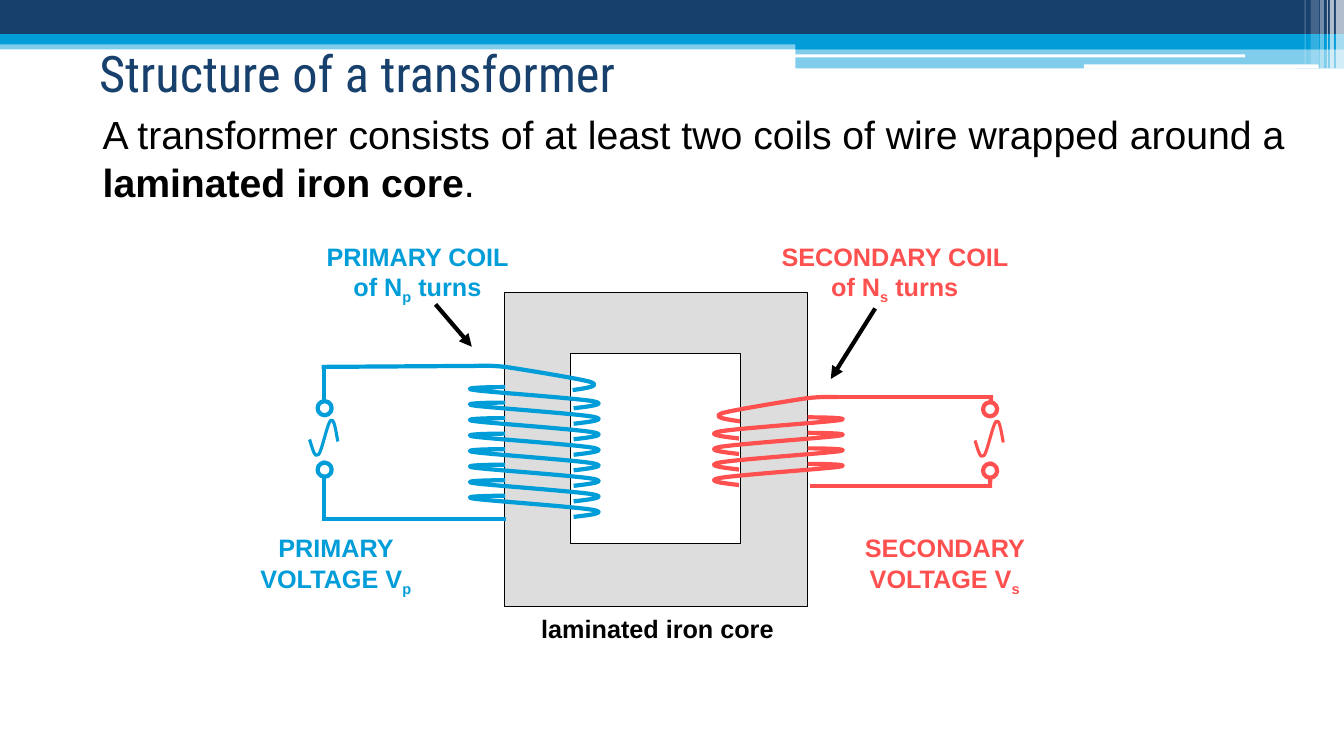
import pptx
import pptx.util
import pptx.dml.color
import pptx.enum.shapes
import pptx.enum.text
import pptx.oxml
import pptx.oxml.ns

COLORS = {"navy": "17406D", "blue": "009DD9", "red": "FF5050", "gray": "DDDDDD",
          "white": "FFFFFF", "black": "000000"}
COLORS = {name: pptx.dml.color.RGBColor.from_string(value) for name, value in COLORS.items()}
RECTANGLE = pptx.enum.shapes.MSO_SHAPE.RECTANGLE
ROUNDED = pptx.enum.shapes.MSO_SHAPE.ROUNDED_RECTANGLE
OVAL = pptx.enum.shapes.MSO_SHAPE.OVAL
LEFT = pptx.enum.text.PP_ALIGN.LEFT
CENTER = pptx.enum.text.PP_ALIGN.CENTER
TOP = pptx.enum.text.MSO_ANCHOR.TOP
MIDDLE = pptx.enum.text.MSO_ANCHOR.MIDDLE
NAMESPACE = pptx.oxml.ns.nsdecls("a")

presentation = pptx.Presentation()
presentation.slide_width = pptx.util.Inches(13.33)
presentation.slide_height = pptx.util.Inches(7.5)
slide = presentation.slides.add_slide(presentation.slide_layouts[6])

# Fine grid: every length below counts these columns and rows
COLUMN = presentation.slide_width / 133.3
ROW = presentation.slide_height / 75


def add_box(kind, left, top, width, height, fill, line=None, points=0.75, opacity=100):
    shape = slide.shapes.add_shape(kind, int(left * COLUMN), int(top * ROW),
                                   int(width * COLUMN), int(height * ROW))
    shape.shadow.inherit = False
    shape.fill.solid()
    shape.fill.fore_color.rgb = COLORS[fill]
    if opacity < 100:
        color = shape.fill._xPr.find(".//" + pptx.oxml.ns.qn("a:srgbClr"))
        color.append(pptx.oxml.parse_xml(f'<a:alpha {NAMESPACE} val="{opacity * 1000}"/>'))
    if line:
        shape.line.color.rgb = COLORS[line]
        shape.line.width = pptx.util.Pt(points)
    else:
        shape.line.fill.background()


def add_curve(points, color, width):
    """Draw a chain of cubic Bezier arcs: a start, then three points for each arc."""
    scaled = [(x * COLUMN, y * ROW) for x, y in points]
    builder = slide.shapes.build_freeform(*scaled[0])
    builder.add_line_segments(scaled[1:], close=False)
    curve = builder.convert_to_shape()
    # Turn every three straight segments into one cubic arc
    segments = list(curve._element.spPr.iter(pptx.oxml.ns.qn("a:lnTo")))
    for first in range(0, len(segments), 3):
        arc = pptx.oxml.parse_xml(f"<a:cubicBezTo {NAMESPACE}/>")
        segments[first].addprevious(arc)
        for segment in segments[first:first + 3]:
            arc.append(segment[0])
            segment.getparent().remove(segment)
    curve.shadow.inherit = False
    curve.fill.background()
    curve.line.color.rgb = COLORS[color]
    curve.line.width = pptx.util.Pt(width)


# Header bands
for kind, left, top, width, height, fill, opacity in [
    (RECTANGLE, 0, 4, 133.3, 0.9, "blue", 50),
    (RECTANGLE, 0, 0, 133.3, 3.4, "navy", 100),
    (RECTANGLE, 0, 3.4, 133.3, 1, "blue", 100),
    (RECTANGLE, 78.9, 3.9, 54.4, 1, "blue", 100),
    (RECTANGLE, 78.9, 4.8, 54.4, 2, "blue", 50),
    (ROUNDED, 78.8, 5.4, 44.7, 0.3, "white", 100),
    (ROUNDED, 107.5, 6.4, 23.3, 0.4, "white", 100),
    (RECTANGLE, 132.5, 0, 0.8, 6.8, "white", 65),
    (RECTANGLE, 131.9, 0, 0.4, 6.8, "white", 65),
    (RECTANGLE, 131.6, 0, 0.1, 6.8, "white", 60),
    (RECTANGLE, 130.9, 0, 0.4, 6.8, "white", 40),
    (RECTANGLE, 130, 0, 0.8, 6.4, "white", 20),
    (RECTANGLE, 129.4, 0, 0.1, 6.4, "white", 30),
]:
    add_box(kind, left, top, width, height, fill, opacity=opacity)

# Iron core
add_box(RECTANGLE, 50.05, 29.05, 30, 31.1, "gray", "black")
add_box(RECTANGLE, 56.55, 35.05, 16.9, 18.9, "white", "black")

# Coils: the secondary mirrors the primary across the core
MIRROR = 130.2
TURN_PITCH = 1.54
LEAD = [(47, 0.1), (47.9, 0.1), (48.9, 0), (50.8, 0.3), (52.7, 0.6), (57.6, 1.4),
        (58.6, 1.7), (59.6, 2.1), (58.2, 2.3), (56.8, 2.5)]
TURN = [(50.1, 0), (47.8, 0), (45.6, 0.1), (47.1, 0.3), (48.5, 0.5), (57.1, 1.1),
        (58.8, 1.4), (60.3, 1.7), (58.6, 1.9), (56.9, 2.1)]
for color, mirrored, lead_top, first_turn, turns in [
    ("blue", False, 36.2, 38.4, 8),
    ("red", True, 39.3, 41.4, 4),
]:
    tops = [first_turn + turn * TURN_PITCH for turn in range(turns)]
    for outline, top in [(LEAD, lead_top)] + [(TURN, top) for top in tops]:
        add_curve([(MIRROR - x if mirrored else x, top + y) for x, y in outline], color, 3)

# Wires, then the pointers from the coil labels
for color, start, end, head in [
    ("blue", (50.2, 51.5), (31.9, 51.5), False),
    ("blue", (47.2, 36.3), (31.9, 36.4), False),
    ("blue", (32.1, 36.4), (32.1, 51.5), False),
    ("red", (80.3, 48.2), (98.1, 48.2), False),
    ("red", (82.9, 39.4), (98.2, 39.4), False),
    ("red", (98.3, 39.2), (98.2, 48.4), False),
    ("black", (43.2, 30.2), (46.8, 34.4), True),
    ("black", (86.8, 30.6), (82.4, 37.6), True),
]:
    wire = slide.shapes.add_connector(
        pptx.enum.shapes.MSO_CONNECTOR.STRAIGHT, int(start[0] * COLUMN), int(start[1] * ROW),
        int(end[0] * COLUMN), int(end[1] * ROW))
    wire.line.color.rgb = COLORS[color]
    wire.line.width = pptx.util.Pt(3)
    if head:
        wire.line._get_or_add_ln().append(
            pptx.oxml.parse_xml(f'<a:tailEnd {NAMESPACE} type="triangle"/>'))
    wire._element.spPr.append(pptx.oxml.parse_xml(f"<a:effectLst {NAMESPACE}/>"))

# Alternating voltage: gap in the wire, two terminals and a sine wave
SINE = [(1.7, 2.5), (2, 3.4), (2.2, 4.4), (2.6, 4), (2.9, 3.7), (3.5, 0.8),
        (3.8, 0.6), (4.1, 0.3), (4.3, 1.5), (4.5, 2.7)]
for color, left, top in [("blue", 29, 41.1), ("red", 95, 41.2)]:
    add_box(RECTANGLE, left, top, 6, 4.6, "white")
    for terminal_top in (top - 1.3, top + 4.8):
        add_box(OVAL, left + 2.5, terminal_top, 1.4, 1.4, "white", color, 3)
    add_curve([(left + x, top + y) for x, y in SINE], color, 2.25)

# Title, body and labels; each run is (text, style)
for left, top, width, height, size, font, color, align, anchor, runs in [
    (8.85, 3.6, 90, 7.1, 36, "Roboto Condensed", "navy", LEFT, MIDDLE,
     [("Structure of a transformer", "")]),
    (9.2, 10.5, 120.3, 10.6, 28, "Arial", "black", LEFT, TOP,
     [("A transformer consists of at least two coils of wire wrapped around a ", ""),
      ("laminated iron core", "bold"), (".", "")]),
    (52.7, 60.35, 28.4, 4, 18, "Arial", "black", LEFT, TOP,
     [("laminated iron core", "bold")]),
    (22.2, 52.35, 22.2, 7, 18, "Arial", "blue", CENTER, TOP,
     [("PRIMARY VOLTAGE V", "bold"), ("p", "subscript")]),
    (31, 23.4, 20.8, 7, 18, "Arial", "blue", CENTER, TOP,
     [("PRIMARY COIL of N", "bold"), ("p", "subscript"), (" turns", "bold")]),
    (75.6, 23.4, 26.3, 7, 18, "Arial", "red", CENTER, TOP,
     [("SECONDARY COIL of N", "bold"), ("s", "subscript"), (" turns", "bold")]),
    (82.6, 52.35, 22.2, 7, 18, "Arial", "red", CENTER, TOP,
     [("SECONDARY VOLTAGE V", "bold"), ("s", "subscript")]),
]:
    text_box = slide.shapes.add_textbox(int(left * COLUMN), int(top * ROW),
                                        int(width * COLUMN), int(height * ROW))
    text_frame = text_box.text_frame
    text_frame.word_wrap = True
    text_frame.vertical_anchor = anchor
    paragraph = text_frame.paragraphs[0]
    paragraph.alignment = align
    for text, style in runs:
        run = paragraph.add_run()
        run.text = text
        run.font.name = font
        run.font.size = pptx.util.Pt(size)
        run.font.bold = style != ""
        run.font.color.rgb = COLORS[color]
        if style == "subscript":
            run.font._element.set("baseline", "-25000")

presentation.save("out.pptx")
